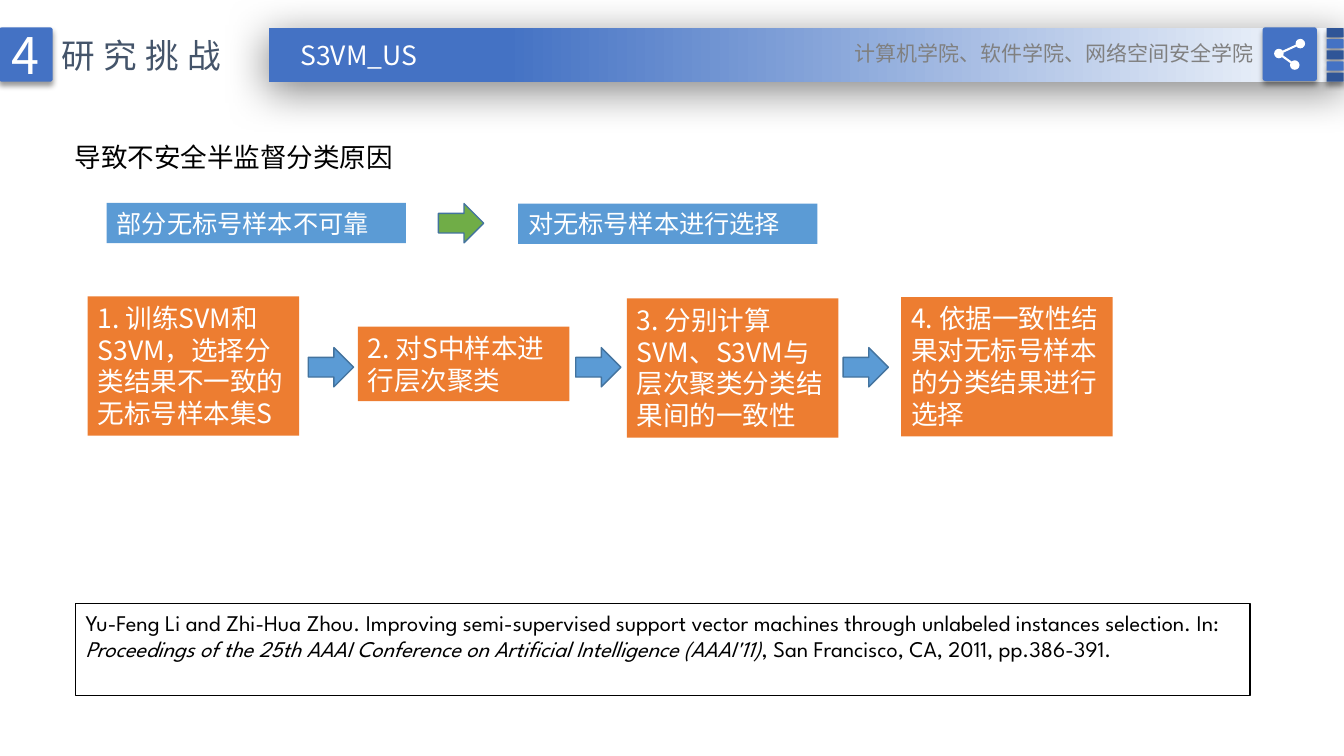
import pptx
import pptx.util
import pptx.dml.color
import pptx.enum.shapes
import pptx.enum.text
import pptx.oxml.ns
import lxml.etree

Cm, Pt = pptx.util.Cm, pptx.util.Pt
SHAPE = pptx.enum.shapes.MSO_SHAPE
ALIGN = pptx.enum.text.PP_ALIGN
ANCHOR = pptx.enum.text.MSO_ANCHOR
COLORS = {
    "white": "FFFFFF", "black": "000000", "pale": "F7FAFD", "royal": "4472C4",
    "navy": "2F5597", "slate": "44546A", "gray": "808080", "sky": "5B9BD5",
    "edge": "43739E", "green": "70AD47", "orange": "ED7D31",
}
CHINESE, LATIN = "Noto Sans CJK SC", "League Spartan"


class SlideBuilder:
    """Draws styled elements on one slide, with lengths in centimetres."""

    def __init__(self, presentation):
        self.slide = presentation.slides.add_slide(presentation.slide_layouts[5])

    def color(self, name):
        return pptx.dml.color.RGBColor.from_string(COLORS[name])

    def element(self, parent, tag, **attributes):
        return lxml.etree.SubElement(parent, pptx.oxml.ns.qn(tag), attributes)

    def shape(self, kind, box, fill, line=None, shadow=None):
        shape = self.slide.shapes.add_shape(kind, *map(Cm, box))
        shape.shadow.inherit = False
        shape.fill.solid()
        shape.fill.fore_color.rgb = self.color(fill)
        if line:
            shape.line.color.rgb = self.color(line)
            shape.line.width = Pt(1)
        else:
            shape.line.fill.background()
        if kind == SHAPE.ROUNDED_RECTANGLE:
            shape.adjustments[0] = 0.05
        if shadow:
            self.shadow(shape, *shadow)
        return shape

    def shadow(self, shape, opacity, blur, distance, angle):
        effects = shape._element.spPr.find(pptx.oxml.ns.qn("a:effectLst"))
        outer = self.element(effects, "a:outerShdw", blurRad=str(Pt(blur)), dist=str(Pt(distance)),
                             dir=str(angle * 60000), algn="t", rotWithShape="0")
        tone = self.element(outer, "a:srgbClr", val=COLORS["black"])
        self.element(tone, "a:alpha", val=str(opacity * 1000))

    def gradient(self, shape, stops, angle):
        shape.fill.gradient()
        shape.fill.gradient_angle = angle
        for stop, (position, name) in zip(shape.fill.gradient_stops, stops):
            stop.position = position
            stop.color.rgb = self.color(name)

    def text(self, shape, runs, size, color, font=CHINESE, align=ALIGN.LEFT,
             anchor=ANCHOR.TOP, wrap=True, spacing=0):
        frame = shape.text_frame
        frame.word_wrap = wrap
        frame.auto_size = pptx.enum.text.MSO_AUTO_SIZE.NONE
        frame.vertical_anchor = anchor
        frame.margin_left = frame.margin_right = Cm(0.25)
        frame.margin_top = frame.margin_bottom = Cm(0.13)
        paragraph = frame.paragraphs[0]
        paragraph.alignment = align
        paragraph.space_before = Pt(0)
        paragraph.line_spacing = Pt(round(size * 1.2, 1))
        for content, italic in runs:
            run = paragraph.add_run()
            run.text = content
            run.font.size = Pt(size)
            run.font.name = font
            run.font.bold = False
            run.font.italic = italic
            run.font.color.rgb = self.color(color)
            properties = run.font._element
            self.element(properties, "a:ea", typeface=CHINESE)
            if spacing:
                properties.set("spc", str(spacing * 100))

    def label(self, box, content, size, color, align=ALIGN.LEFT):
        shape = self.slide.shapes.add_textbox(*map(Cm, box))
        self.text(shape, [(content, False)], size, color, align=align)

    def title(self, box, content, size, color, spacing):
        shape = self.slide.shapes.title
        shape.left, shape.top, shape.width, shape.height = map(Cm, box)
        self.text(shape, [(content, False)], size, color, wrap=False, spacing=spacing)

    def card(self, box, content, size, fill):
        self.text(self.shape(SHAPE.RECTANGLE, box, fill), [(content, False)], size, "white")

    def arrow(self, left, top, fill):
        self.shape(SHAPE.RIGHT_ARROW, (left, top, 1.14, 0.99), fill, line="edge")

    def line(self, start, end, color, width):
        connector = self.slide.shapes.add_connector(
            pptx.enum.shapes.MSO_CONNECTOR.STRAIGHT, *map(Cm, start + end))
        connector.line.color.rgb = self.color(color)
        connector.line.width = Pt(width)
        self.element(connector._element.spPr, "a:effectLst")


def draw_header(builder):
    """Draw the banner, section number, title and share icon."""
    soft = (40, 4, 3, 90)
    banner = builder.shape(SHAPE.RECTANGLE, (6.78, 0.71, 27.09, 1.35), "royal", shadow=(50, 31, 6, 97))
    builder.gradient(banner, [(0, "pale"), (0.78, "royal")], 180)
    number = builder.shape(SHAPE.ROUNDED_RECTANGLE, (-0.02, 0.69, 1.35, 1.37), "royal", shadow=soft)
    builder.text(number, [("4", False)], 36, "white", align=ALIGN.CENTER, anchor=ANCHOR.MIDDLE)
    builder.title((1.3, 0.74, 4.78, 1.27), "研究挑战", 24, "slate", spacing=6)
    builder.label((7.32, 0.86, 11.3, 1.07), "S3VM_US", 19, "white")
    for index in range(5):
        builder.shape(SHAPE.ROUNDED_RECTANGLE, (33.43, 0.71 + index * 0.28, 0.43, 0.23),
                      "royal" if index % 2 else "navy", shadow=soft)
    builder.shape(SHAPE.ROUNDED_RECTANGLE, (31.82, 0.69, 1.37, 1.35), "royal", shadow=soft)
    hub, radius = (32.23, 1.35), 0.12
    nodes = [(32.77, 1.1), (32.63, 1.64)]
    for node in nodes:
        builder.line(hub, node, "white", 1.5)
    for x, y in [hub, *nodes]:
        builder.shape(SHAPE.OVAL, (x - radius, y - radius, 2 * radius, 2 * radius), "white")
    builder.label((21.06, 0.89, 10.77, 0.89), "计算机学院、软件学院、网络空间安全学院", 15, "gray", ALIGN.RIGHT)


def draw_content(builder):
    """Draw the cause, the four steps and the citation."""
    builder.label((1.63, 3.43, 11.38, 1.88), "导致不安全半监督分类原因", 19, "black")
    builder.card((2.69, 5.11, 7.54, 1.02), "部分无标号样本不可靠", 18, "sky")
    builder.card((13.06, 5.13, 7.54, 1.02), "对无标号样本进行选择", 18, "sky")
    builder.arrow(11.05, 5.13, "green")
    steps = [
        (2.21, 7.47, 3.51, "1. 训练SVM和S3VM，选择分类结果不一致的无标号样本集S"),
        (9.02, 8.23, 1.88, "2. 对S中样本进行层次聚类"),
        (15.8, 7.52, 3.51, "3. 分别计算SVM、S3VM与层次聚类分类结果间的一致性"),
        (22.71, 7.49, 3.51, "4. 依据一致性结果对无标号样本的分类结果进行选择"),
    ]
    for left, top, height, content in steps:
        builder.card((left, top, 5.33, height), content, 19, "orange")
    for index in range(3):
        builder.arrow(7.77 + index * 6.74, 8.76, "sky")
    citation = builder.shape(SHAPE.RECTANGLE, (1.91, 15.21, 29.59, 2.31), "white", line="black")
    builder.text(citation, [
        ("Yu-Feng Li and Zhi-Hua Zhou. Improving semi-supervised support vector machines "
         "through unlabeled instances selection. In: ", False),
        ("Proceedings of the 25th AAAI Conference on Artificial Intelligence (AAAI'11)", True),
        (", San Francisco, CA, 2011, pp.386-391.", False),
    ], 16, "black", font=LATIN)


def main():
    """Build and save the presentation."""
    presentation = pptx.Presentation()
    presentation.slide_width, presentation.slide_height = Cm(33.87), Cm(19.05)
    builder = SlideBuilder(presentation)
    draw_header(builder)
    draw_content(builder)
    presentation.save("out.pptx")


if __name__ == "__main__":
    main()
